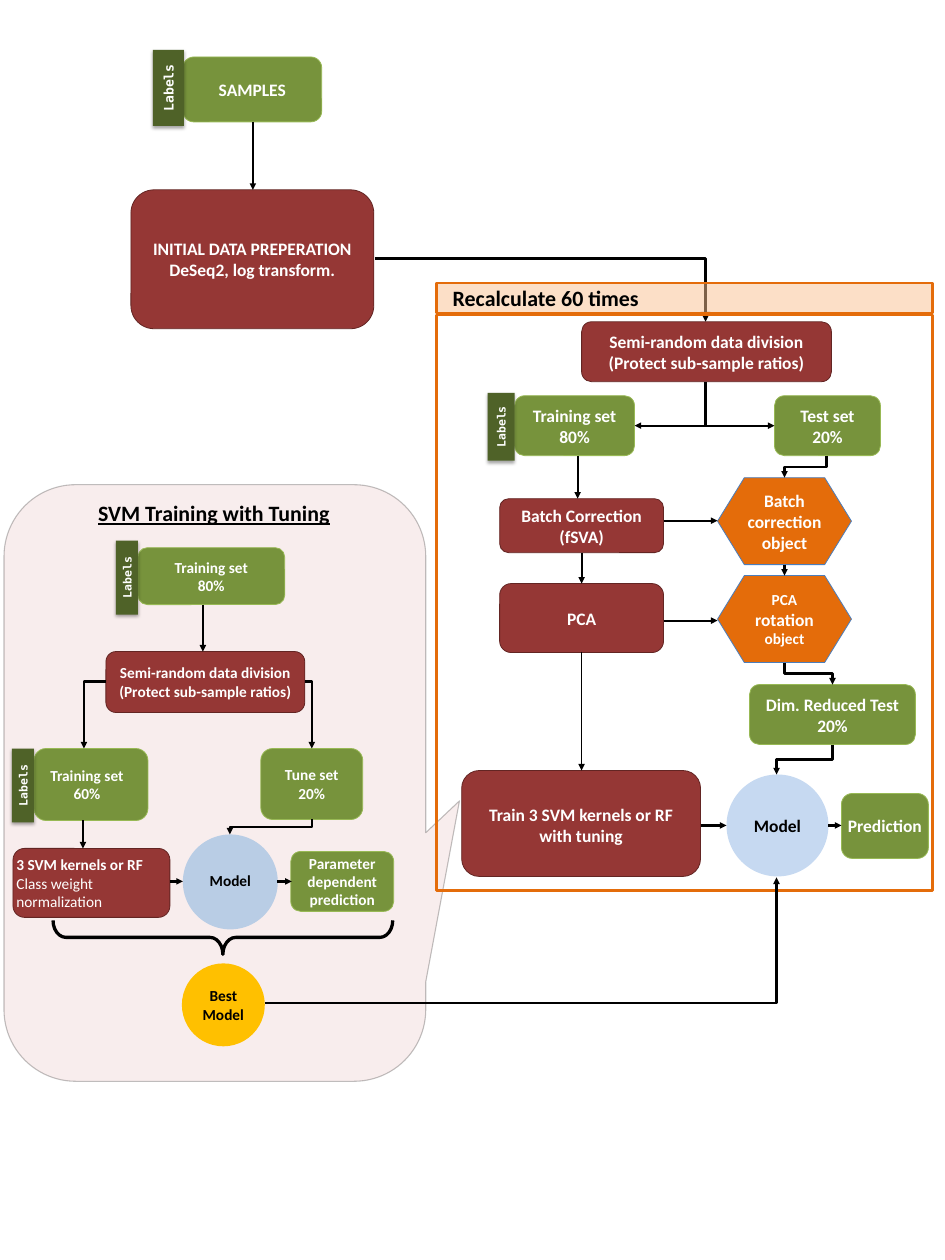
import dataclasses

import pptx
import pptx.dml.color
import pptx.enum.shapes
import pptx.enum.text
import pptx.oxml
import pptx.oxml.ns
import pptx.util

SHAPE = pptx.enum.shapes.MSO_SHAPE
LINK = pptx.enum.shapes.MSO_CONNECTOR
ALIGN = pptx.enum.text.PP_ALIGN
qn = pptx.oxml.ns.qn
NS = 'xmlns:a="http://schemas.openxmlformats.org/drawingml/2006/main"'
PX = 914400 / 78.8
NARROW = (0, 4, 0, 4)


@dataclasses.dataclass(frozen=True)
class Theme:
    font: str = "Calibri"
    mono: str = "DejaVu Sans Mono"
    heading: float = 20
    large: float = 16
    small: float = 14
    tag: float = 12
    tag_small: float = 10.5
    black: str = "000000"
    white: str = "FFFFFF"
    process: str = "953735"
    process_line: str = "632523"
    data: str = "77933C"
    data_line: str = "98B955"
    object_line: str = "4B7EBC"
    tag_fill: str = "4F6228"
    callout: str = "E6B9B8"
    orange: str = "E46C0A"
    banner: str = "FAC090"
    tune_model: str = "B9CDE5"
    test_model: str = "C6D9F1"
    best_model: str = "FFC000"


T = Theme()
# Style: preset, fill, line colour, line width
PROCESS = (SHAPE.FLOWCHART_ALTERNATE_PROCESS, T.process, T.process_line, 0.75)
DATA = (SHAPE.FLOWCHART_ALTERNATE_PROCESS, T.data, T.data_line, 0.75)
OBJECT = (SHAPE.FLOWCHART_PREPARATION, T.orange, T.object_line, 0.75)
TAG = (SHAPE.RECTANGLE, T.tag_fill, None, 0)
FRAME = (SHAPE.RECTANGLE, None, T.orange, 2.25)
BANNER = (SHAPE.RECTANGLE, T.banner, T.orange, 2.25)
CALLOUT = (SHAPE.ROUNDED_RECTANGULAR_CALLOUT, T.callout, T.black, 1)
BRACE = (SHAPE.RIGHT_BRACE, None, T.black, 3)


def px(value):
    return pptx.util.Emu(round(value * PX))


def rgb(value):
    return pptx.dml.color.RGBColor.from_string(value)


def put(obj, **values):
    for name, value in values.items():
        setattr(obj, name, value)


def set_alpha(color_parent, percent):
    color = next(color_parent.iter(qn("a:srgbClr")))
    color.append(pptx.oxml.parse_xml(f'<a:alpha {NS} val="{percent * 1000}"/>'))


class Region:
    """Draws parts relative to the top left corner of a box."""

    def __init__(self, s, x, y):
        self.s, self.x, self.y = s, x, y

    def label(self, sp, text, size, color, align=ALIGN.CENTER, font=T.font, insets=(8, 4, 8, 4)):
        # A new line starts a paragraph, a vertical tab breaks a line, a bar starts a run
        tf = sp.text_frame
        sides = ("margin_left", "margin_top", "margin_right", "margin_bottom")
        put(tf, word_wrap=True, vertical_anchor=pptx.enum.text.MSO_ANCHOR.MIDDLE,
            **dict(zip(sides, map(px, insets))))
        for i, paragraph in enumerate(text.split("\n")):
            p = tf.add_paragraph() if i else tf.paragraphs[0]
            p.alignment = align
            for j, line in enumerate(paragraph.split("\v")):
                if j:
                    p.add_line_break()
                for part in line.split("|"):
                    r = p.add_run()
                    r.text = part
                    put(r.font, name=font, size=pptx.util.Pt(size), bold=True)
                    r.font.color.rgb = rgb(color)

    def shape(self, style, x, y, w, h, text="", size=T.large, color=T.white, rotation=0, **kw):
        preset, fill, line, width = style
        left, top = self.x + x, self.y + y
        if rotation:
            left, top, w, h = left + (w - h) / 2, top + (h - w) / 2, h, w
        sp = self.s.shapes.add_shape(preset, *map(px, (left, top, w, h)))
        sp.rotation = rotation
        sp.shadow.inherit = False
        if fill:
            sp.fill.solid()
            sp.fill.fore_color.rgb = rgb(fill)
        else:
            sp.fill.background()
        if line:
            sp.line.color.rgb = rgb(line)
            sp.line.width = pptx.util.Pt(width)
        else:
            sp.line.fill.background()
        if text:
            self.label(sp, text, size, color, **kw)
        return sp

    def circle(self, fill, x, y, d, text, size, **kw):
        self.shape((SHAPE.OVAL, fill, None, 0), x, y, d, d, text, size, T.black, **kw)

    def tag(self, x, y, w, h, size=T.tag_small):
        sp = self.shape(TAG, x, y, w, h, "Labels", size, rotation=270, font=T.mono)
        sp._element.spPr.find(qn("a:effectLst")).append(pptx.oxml.parse_xml(
            f'<a:outerShdw {NS} blurRad="39370" dist="22860" dir="5400000" rotWithShape="0">'
            f'<a:srgbClr val="{T.black}"><a:alpha val="35000"/></a:srgbClr></a:outerShdw>'))

    def arrow(self, x1, y1, x2, y2, kind="straight", width=2):
        # over: across then down; down: down then across; step: down, across, down
        x1, x2, y1, y2 = x1 + self.x, x2 + self.x, y1 + self.y, y2 + self.y
        ends = (x1, y1, x2, y2)
        if kind == "down":
            ends = (x2, y2, x1, y1)
        elif kind == "step":
            cx, cy, dx, dy = (x1 + x2) / 2, (y1 + y2) / 2, x2 - x1, y2 - y1
            ends = (cx - dy / 2, cy + dx / 2, cx + dy / 2, cy - dx / 2)
        link = LINK.STRAIGHT if kind == "straight" else LINK.ELBOW
        c = self.s.shapes.add_connector(link, *map(px, ends))
        spPr = c._element.spPr
        if kind == "step":
            spPr.find(qn("a:xfrm")).set("rot", "5400000")
        elif kind != "straight":
            spPr.find(qn("a:prstGeom")).set("prst", "bentConnector2")
        c.line.color.rgb = rgb(T.black)
        c.line.width = pptx.util.Pt(width)
        end = "headEnd" if kind == "down" else "tailEnd"
        spPr.find(qn("a:ln")).append(pptx.oxml.parse_xml(f'<a:{end} {NS} type="triangle"/>'))
        spPr.append(pptx.oxml.parse_xml(f"<a:effectLst {NS}/>"))


def draw_preparation(s, x, y):
    g = Region(s, x, y)
    g.shape(PROCESS, 0, 140, 243, 139, "INITIAL DATA PREPERATION\nDeSeq2, log transform.")
    g.shape(DATA, 52, 7, 139, 65, "SAMPLES")
    g.tag(22, 0, 31, 76, T.tag)
    g.arrow(122, 72, 122, 140)


def draw_tuning(s, x, y, w, h):
    g = Region(s, x, y)
    # Callout and heading
    callout = g.shape(CALLOUT, 0, 0, w, h)
    for i, value in enumerate((0.58, 0.03, 0.17)):
        callout.adjustments[i] = value
    spPr = callout._element.spPr
    set_alpha(spPr.find(qn("a:solidFill")), 25)
    set_alpha(spPr.find(qn("a:ln")), 24)
    tb = s.shapes.add_textbox(*map(px, (x + 73, y + 11, 274, 35)))
    g.label(tb, "SVM Training with Tuning", T.heading, T.black)
    tb.text_frame.paragraphs[0].runs[0].font.underline = True
    # Steps
    for style, *box, text, insets in (
            (DATA, 134, 63, 147, 57, "Training set\v80%", NARROW),
            (PROCESS, 102, 167, 199, 61,
             "Semi-random data division\n(Protect sub-sample ratios)", NARROW),
            (DATA, 30, 264, 114, 72, "Training set\v60%", (0, 4, 8, 4)),
            (DATA, 257, 264, 102, 71, "Tune set\v20%", (8, 4, 8, 4)),
            (DATA, 287, 367, 103, 60, "Parameter dependent prediction", NARROW)):
        g.shape(style, *box, text, T.small, insets=insets)
    kernels = g.shape(PROCESS, 9, 364, 157, 69, "3 SVM kernels or RF\nClass weight normalization",
                      T.small, align=ALIGN.LEFT, insets=NARROW)
    kernels.text_frame.paragraphs[1].runs[0].font.bold = False
    g.tag(112, 56, 22, 74)
    g.tag(8, 264, 22, 74)
    # Models
    g.circle(T.tune_model, 179, 350, 95, "Model", T.small, insets=(0, 0, 0, 4))
    g.circle(T.best_model, 178, 479, 83, "Best\nModel", T.small)
    g.shape(BRACE, 49, 436, 340, 34, rotation=90).adjustments[0] = 0.38
    # Flow
    for flow in ((199, 120, 199, 167), (79, 336, 79, 364), (166, 397, 179, 397),
                 (273, 397, 288, 397), (308, 335, 226, 350, "step"),
                 (102, 197, 80, 264, "over"), (301, 197, 308, 264, "over")):
        g.arrow(*flow)


def draw_recalculation(s, x, y, w, h):
    g = Region(s, x, y)
    # Steps
    for style, *box, text in (
            (PROCESS, 145, 39, 250, 60, "Semi-random data division\n(Protect sub-sample ratios)"),
            (DATA, 78, 113, 120, 60, "Training set\v80%"),
            (DATA, 338, 113, 106, 60, "Test set\v20%"),
            (PROCESS, 63, 216, 164, 54, "Batch Correction (fSVA)"),
            (PROCESS, 63, 301, 164, 69, "PCA"),
            (DATA, 313, 402, 166, 60, "Dim. Reduced Test\n20%")):
        g.shape(style, *box, text)
    g.shape(PROCESS, 25, 488, 239, 106, "Train 3 SVM kernels or RF\nwith tuning", insets=(0, 4, 0, 0))
    g.shape(DATA, 405, 511, 87, 65, "Prediction", insets=(2, 4, 2, 4))
    g.tag(51, 110, 27, 68)
    g.circle(T.test_model, 290, 492, 102, "Model", T.large)
    # Fitted objects
    g.shape(OBJECT, 281, 195, 134, 87, "Batch\vcorrection object", insets=NARROW)
    rotation = g.shape(OBJECT, 281, 293, 134, 87, "PCA\vrotation| object", T.small)
    rotation.text_frame.paragraphs[0].runs[1].font.size = pptx.util.Pt(T.large)
    # Flow
    for flow in ((269, 99, 198, 143, "down"), (269, 99, 338, 143, "down"), (141, 173, 141, 216),
                 (390, 173, 348, 195, "step"), (348, 282, 348, 293), (227, 238, 281, 238),
                 (145, 270, 145, 301), (227, 338, 281, 338), (145, 369, 145, 488, "straight", 1.5),
                 (348, 380, 396, 402, "step"), (396, 462, 340, 492, "step"),
                 (264, 543, 290, 543), (392, 543, 405, 543)):
        g.arrow(*flow)
    # Frame and banner
    g.shape(FRAME, 0, 32, w, h - 32)
    banner = g.shape(BANNER, 0, 0, w, 30, "Recalculate 60 times", T.heading, T.black,
                     align=ALIGN.LEFT, insets=(16, 4, 8, 4))
    set_alpha(banner._element.spPr.find(qn("a:solidFill")), 50)


prs = pptx.Presentation()
put(prs, slide_width=pptx.util.Inches(12), slide_height=pptx.util.Inches(16))
s = prs.slides.add_slide(prs.slide_layouts[6])
page = Region(s, 0, 0)
draw_tuning(s, 4, 485, 422, 597)
page.arrow(375, 259, 706, 322, "over", 3)
draw_preparation(s, 131, 50)
draw_recalculation(s, 437, 283, 496, 608)
page.arrow(265, 1004, 777, 878, "over")
prs.save("out.pptx")
